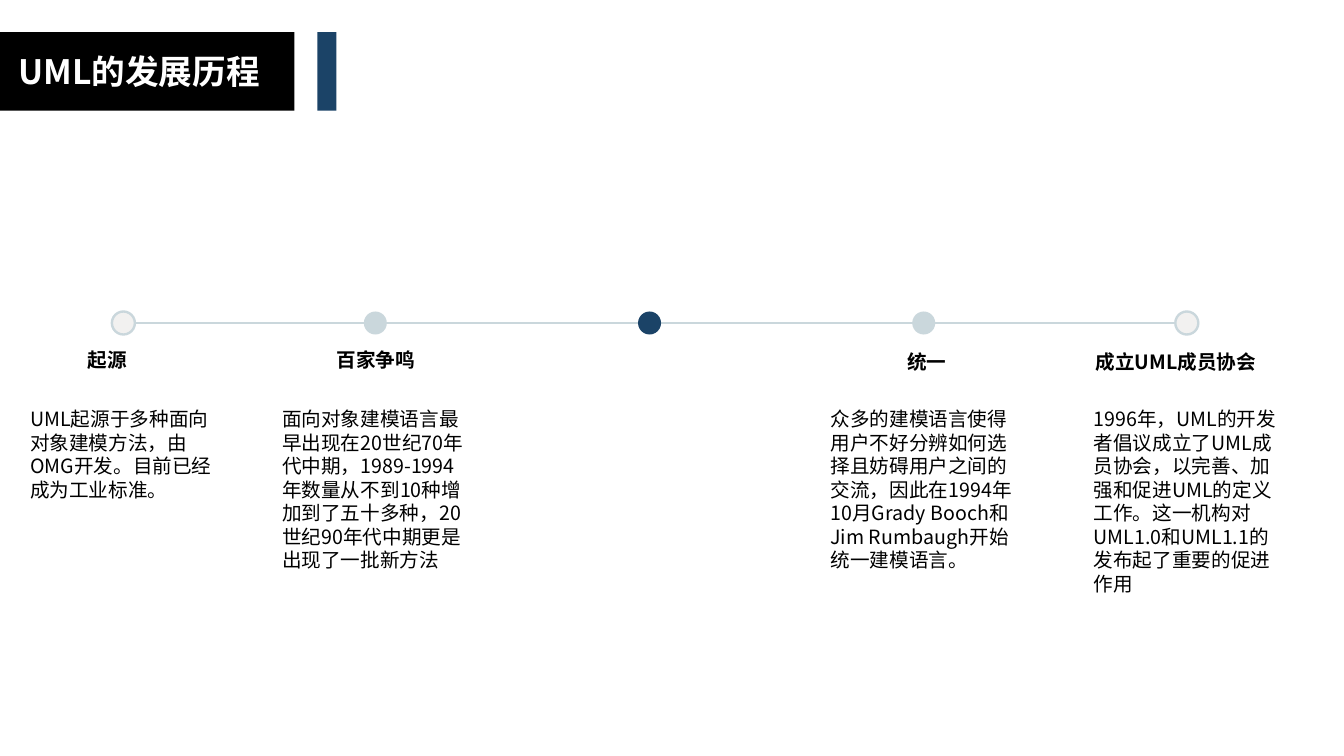
import pptx
import pptx.dml.color
import pptx.enum.shapes
import pptx.enum.text
import pptx.oxml.ns
import pptx.util
from dataclasses import dataclass
from lxml import etree

Cm = pptx.util.Cm
Pt = pptx.util.Pt
RGB = pptx.dml.color.RGBColor.from_string
SHAPES = pptx.enum.shapes.MSO_SHAPE
ALIGN = pptx.enum.text.PP_ALIGN


@dataclass(frozen=True)
class Theme:
    font: str = "Noto Sans CJK SC"
    black: str = "000000"
    white: str = "FFFFFF"
    navy: str = "1B4367"
    mist: str = "CAD7DC"
    pale: str = "F2F1F0"
    title_size: int = 24
    text_size: int = 14
    line_width: float = 1.7


theme = Theme()
presentation = pptx.Presentation()
presentation.slide_width = Cm(33.87)
presentation.slide_height = Cm(19.05)
slide = presentation.slides.add_slide(presentation.slide_layouts[6])


def add_filled(kind, left, top, width, height, color):
    shape = slide.shapes.add_shape(kind, Cm(left), Cm(top), Cm(width), Cm(height))
    shape.shadow.inherit = False
    shape.fill.solid()
    shape.fill.fore_color.rgb = RGB(color)
    shape.line.fill.background()
    return shape


def add_text(text, left, top, width, height, size, color, bold=False, align=ALIGN.LEFT):
    box = slide.shapes.add_textbox(Cm(left), Cm(top), Cm(width), Cm(height))
    frame = box.text_frame
    frame.word_wrap = True
    frame.auto_size = pptx.enum.text.MSO_AUTO_SIZE.SHAPE_TO_FIT_TEXT
    paragraph = frame.paragraphs[0]
    paragraph.text = text
    paragraph.alignment = align
    font = paragraph.font
    font.name = theme.font
    font.size = Pt(size)
    font.bold = bold
    font.color.rgb = RGB(color)
    # East Asian characters need their own typeface entry
    properties = paragraph._p.pPr.find(pptx.oxml.ns.qn("a:defRPr"))
    etree.SubElement(properties, pptx.oxml.ns.qn("a:ea"), typeface=theme.font)


# Title bar
add_filled(SHAPES.RECTANGLE, 0, 0.81, 7.42, 1.98, theme.black)
add_filled(SHAPES.RECTANGLE, 8, 0.81, 0.48, 1.98, theme.navy)
add_text("UML的发展历程", 0, 1.17, 7.01, 1.27, theme.title_size, theme.white,
         bold=True, align=ALIGN.CENTER)

# Timeline axis
dot_size = 0.58
axis_y = 8.14
centers = [3.11, 9.46, 16.37, 23.28, 29.91]
axis = slide.shapes.add_connector(
    pptx.enum.shapes.MSO_CONNECTOR.STRAIGHT,
    Cm(centers[0] + dot_size / 2), Cm(axis_y),
    Cm(centers[-1] - dot_size / 2), Cm(axis_y))
axis.line.color.rgb = RGB(theme.mist)
axis.line.width = Pt(theme.line_width)
etree.SubElement(axis._element.spPr, pptx.oxml.ns.qn("a:effectLst"))

# Timeline dots; the two ends are outlined
dot_colors = [theme.pale, theme.mist, theme.navy, theme.mist, theme.pale]
for center, color in zip(centers, dot_colors):
    dot = add_filled(SHAPES.OVAL, center - dot_size / 2, axis_y - dot_size / 2,
                     dot_size, dot_size, color)
    if color == theme.pale:
        dot.line.color.rgb = RGB(theme.mist)
        dot.line.width = Pt(theme.line_width)

# Stages: dot index, heading, heading left, top and width, body height, body
stages = [
    (0, "起源", 1.96, 8.64, 2.34, 2.64,
     "UML起源于多种面向对象建模方法，由OMG开发。目前已经成为工业标准。"),
    (1, "百家争鸣", 8.23, 8.64, 2.72, 4.45,
     "面向对象建模语言最早出现在20世纪70年代中期，1989-1994年数量从不到10种"
     "增加到了五十多种，20世纪90年代中期更是出现了一批新方法"),
    (3, "统一", 22.61, 8.69, 2.34, 4.45,
     "众多的建模语言使得用户不好分辨如何选择且妨碍用户之间的交流，因此在1994年"
     "10月Grady Booch和Jim Rumbaugh开始统一建模语言。"),
    (4, "成立UML成员协会", 27.36, 8.69, 5.18, 5.03,
     "1996年，UML的开发者倡议成立了UML成员协会，以完善、加强和促进UML的定义工作。"
     "这一机构对UML1.0和UML1.1的发布起了重要的促进作用"),
]
body_width = 5.2
for index, heading, left, top, width, body_height, body in stages:
    add_text(heading, left, top, width, 0.86, theme.text_size, theme.black, bold=True)
    add_text(body, centers[index] - body_width / 2, 10.13, body_width, body_height,
             theme.text_size, theme.black)

presentation.save("out.pptx")
